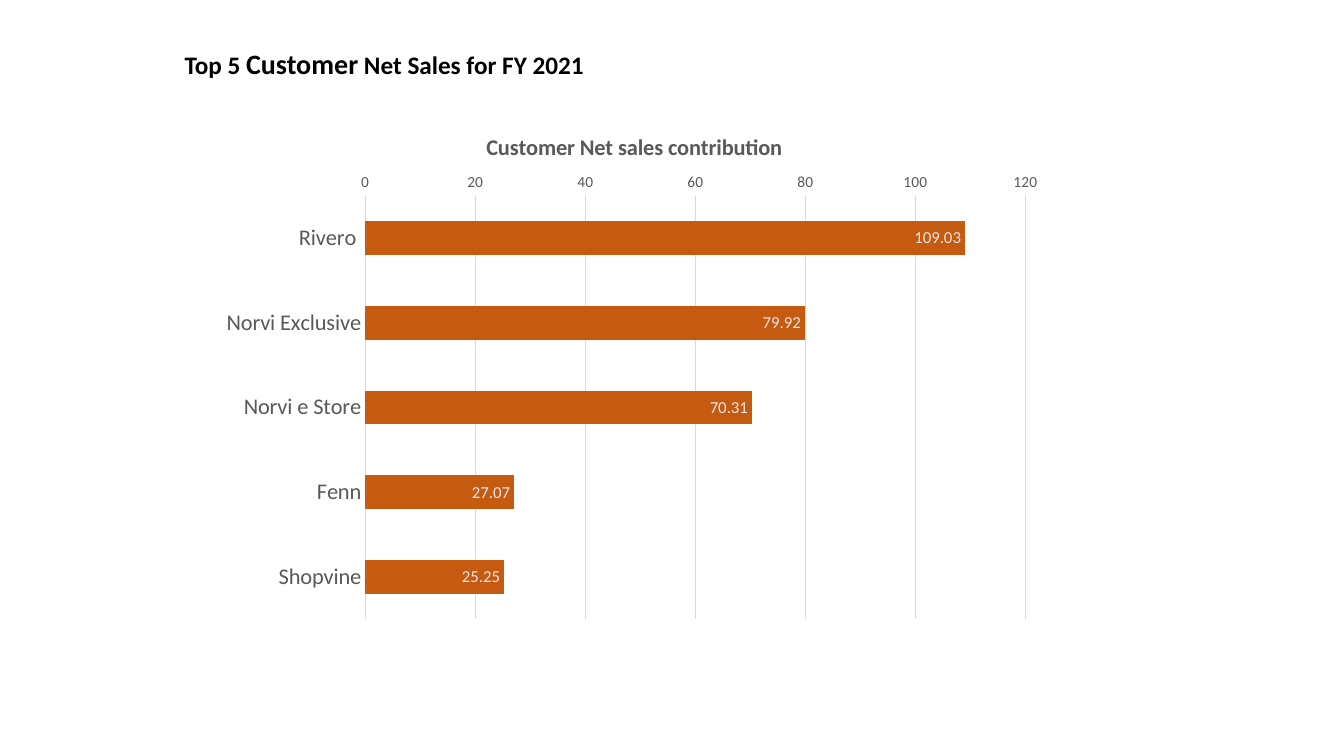
import pptx
import pptx.chart.data
import pptx.dml.color
import pptx.enum.chart
import pptx.enum.text
import pptx.oxml
import pptx.oxml.ns
import pptx.util

Inches = pptx.util.Inches
Pt = pptx.util.Pt

FONT = "Calibri"
COLORS = {
    "heading": "000000",
    "text": "595959",
    "grid": "D9D9D9",
    "bar": "C55A11",
    "value": "E7E6E6",
}
HEADING = [("Top 5 ", 18), ("Customer", 20), (" Net Sales for FY 2021", 18)]
NET_SALES = {
    "Rivero ": 109.03,
    "Norvi Exclusive": 79.92,
    "Norvi e Store": 70.31,
    "Fenn": 27.07,
    "Shopvine": 25.25,
}


def rgb(role):
    return pptx.dml.color.RGBColor.from_string(COLORS[role])


def style_font(font, size, role, bold=False):
    font.name = FONT
    font.size = Pt(size)
    font.bold = bold
    font.color.rgb = rgb(role)


def style_line(line, role):
    line.color.rgb = rgb(role)
    line.width = Pt(0.75)


def set_layout(parent, position, **fractions):
    for old_layout in parent.findall(pptx.oxml.ns.qn("c:layout")):
        parent.remove(old_layout)
    target = '<c:layoutTarget val="inner"/>' if "w" in fractions else ""
    modes = "".join(f'<c:{side}Mode val="edge"/>' for side in "xy")
    values = "".join(f'<c:{side} val="{value}"/>' for side, value in fractions.items())
    parent.insert(position, pptx.oxml.parse_xml(
        f'<c:layout {pptx.oxml.ns.nsdecls("c")}><c:manualLayout>'
        f"{target}{modes}{values}</c:manualLayout></c:layout>"
    ))


def add_heading(slide, left, top, width, height):
    heading = slide.shapes.title
    heading.left, heading.top = Inches(left), Inches(top)
    heading.width, heading.height = Inches(width), Inches(height)
    frame = heading.text_frame
    frame.word_wrap = True
    frame.auto_size = pptx.enum.text.MSO_AUTO_SIZE.NONE
    frame.vertical_anchor = pptx.enum.text.MSO_ANCHOR.MIDDLE
    paragraph = frame.paragraphs[0]
    paragraph.alignment = pptx.enum.text.PP_ALIGN.LEFT
    for text, size in HEADING:
        run = paragraph.add_run()
        run.text = text
        style_font(run.font, size, "heading", bold=True)


def add_sales_chart(slide, left, top, width, height):
    sales = pptx.chart.data.CategoryChartData()
    sales.categories = list(NET_SALES)
    sales.add_series("Series 1", list(NET_SALES.values()))
    chart = slide.shapes.add_chart(
        pptx.enum.chart.XL_CHART_TYPE.BAR_STACKED,
        Inches(left), Inches(top), Inches(width), Inches(height), sales,
    ).chart
    style_font(chart.font, 10, "heading")
    chart.has_legend = False

    caption = chart.chart_title
    run = caption.text_frame.paragraphs[0].add_run()
    run.text = "Customer Net sales contribution"
    style_font(run.font, 16, "text", bold=True)
    set_layout(caption._element, 1, x=0.32, y=0.04)
    plot_area = chart.element.find(".//" + pptx.oxml.ns.qn("c:plotArea"))
    set_layout(plot_area, 0, x=0.18, y=0.17, w=0.79, h=0.81)

    customers, amounts = chart.category_axis, chart.value_axis
    for axis, size in ((customers, 16), (amounts, 11)):
        axis.major_tick_mark = pptx.enum.chart.XL_TICK_MARK.NONE
        axis.minor_tick_mark = pptx.enum.chart.XL_TICK_MARK.NONE
        style_font(axis.tick_labels.font, size, "text")
    customers.reverse_order = True
    style_line(customers.format.line, "grid")
    amounts.minimum_scale, amounts.maximum_scale, amounts.major_unit = 0, 120, 20
    amounts.format.line.fill.background()
    amounts.has_major_gridlines = True
    style_line(amounts.major_gridlines.format.line, "grid")

    plot = chart.plots[0]
    plot.gap_width, plot.overlap = 150, 100
    plot.vary_by_categories = False
    bars = plot.series[0]
    bars.format.fill.solid()
    bars.format.fill.fore_color.rgb = rgb("bar")
    labels = bars.data_labels
    labels.show_value = True
    labels.position = pptx.enum.chart.XL_LABEL_POSITION.INSIDE_END
    style_font(labels.font, 12, "value")


def main():
    deck = pptx.Presentation()
    deck.slide_width, deck.slide_height = Inches(13.33), Inches(7.5)
    slide = deck.slides.add_slide(deck.slide_layouts.get_by_name("Title Only"))
    add_heading(slide, 1.73, 0.41, 4.38, 0.44)
    add_sales_chart(slide, 2.13, 1.06, 8.29, 5.19)
    deck.save("out.pptx")


if __name__ == "__main__":
    main()
